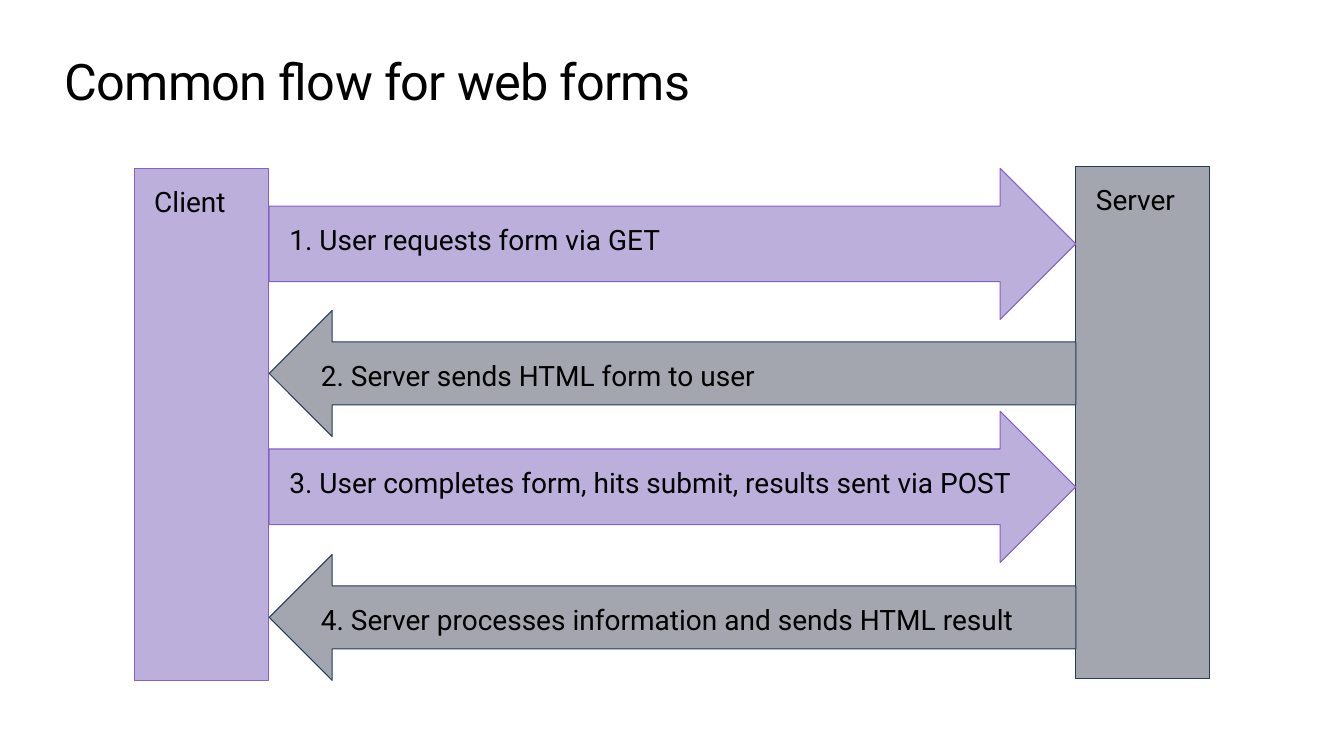
import dataclasses

import pptx
import pptx.dml.color
import pptx.enum.shapes
import pptx.enum.text
import pptx.util

Inches = pptx.util.Inches
Shape = pptx.enum.shapes.MSO_SHAPE


@dataclasses.dataclass(frozen=True)
class Theme:
    font: str = "Roboto"
    ink: str = "000000"
    client: tuple = ("BCAFDC", "8661C5")  # fill, line
    server: tuple = ("A3A6AE", "243A5E")
    title: int = 36
    body: int = 20
    line: float = 0.75


THEME = Theme()


def color(code):
    return pptx.dml.color.RGBColor.from_string(code)


def write(frame, text, size=THEME.body, pad=(0.2, 0.16), track=None):
    """Put one left-aligned, top-anchored paragraph in a text frame."""
    frame.word_wrap = True
    frame.vertical_anchor = pptx.enum.text.MSO_ANCHOR.TOP
    frame.margin_left = frame.margin_right = Inches(pad[0])
    frame.margin_top = frame.margin_bottom = Inches(pad[1])
    para = frame.paragraphs[0]
    para.alignment = pptx.enum.text.PP_ALIGN.LEFT
    run = para.add_run()
    run.text = text
    run.font.name = THEME.font
    run.font.size = pptx.util.Pt(size)
    run.font.color.rgb = color(THEME.ink)
    if track is not None:
        # Letter spacing, in hundredths of a point
        run.font._element.set("spc", str(round(track * 100)))


def add_title(slide, text):
    title = slide.shapes.title
    title.left, title.top = Inches(0.64), Inches(0.5)
    title.width, title.height = Inches(12.05), Inches(0.61)
    write(title.text_frame, text, size=THEME.title, pad=(0, 0), track=-0.5)
    title.text_frame.auto_size = pptx.enum.text.MSO_AUTO_SIZE.SHAPE_TO_FIT_TEXT


def add_block(slide, kind, box, paint, text):
    block = slide.shapes.add_shape(kind, *map(Inches, box))
    block.shadow.inherit = False
    block.fill.solid()
    block.fill.fore_color.rgb = color(paint[0])
    block.line.color.rgb = color(paint[1])
    block.line.width = pptx.util.Pt(THEME.line)
    write(block.text_frame, text)


def add_party(slide, left, top, paint, text):
    add_block(slide, Shape.RECTANGLE, (left, top, 1.33, 5.08), paint, text)


def add_request(slide, top, text):
    add_block(slide, Shape.RIGHT_ARROW, (2.67, top, 8, 1.5), THEME.client, text)


def add_reply(slide, top, text):
    add_block(slide, Shape.LEFT_ARROW, (2.67, top, 8, 1.25), THEME.server, text)


def main():
    deck = pptx.Presentation()
    deck.slide_width, deck.slide_height = Inches(13.33), Inches(7.5)
    slide = deck.slides.add_slide(deck.slide_layouts.get_by_name("Title Only"))
    add_title(slide, "Common flow for web forms")

    # The two parties
    add_party(slide, 1.33, 1.67, THEME.client, "Client")
    add_party(slide, 10.67, 1.65, THEME.server, "Server")

    # Messages between them, in order
    add_request(slide, 1.67, "1. User requests form via GET")
    add_reply(slide, 3.08, "2. Server sends HTML form to user")
    add_request(slide, 4.08, "3. User completes form, hits submit, results sent via POST")
    add_reply(slide, 5.5, "4. Server processes information and sends HTML result")

    deck.save("out.pptx")


if __name__ == "__main__":
    main()
